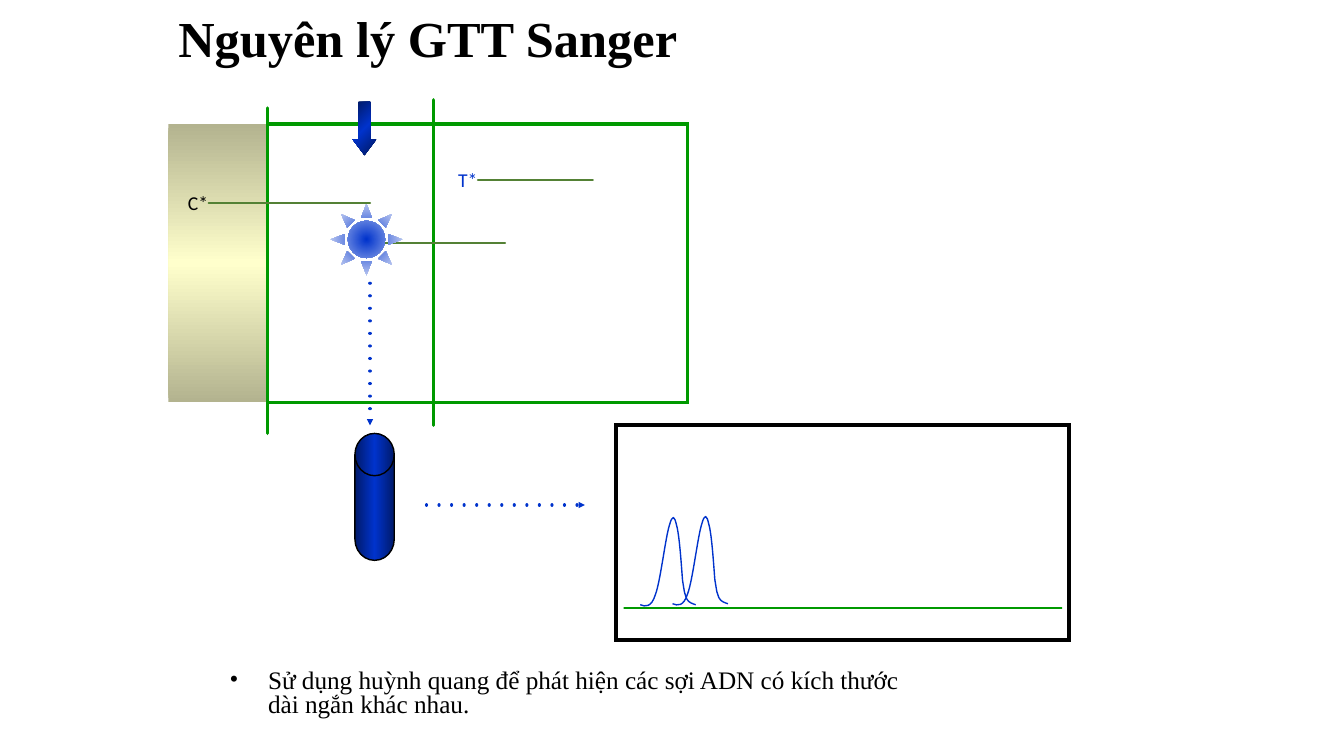
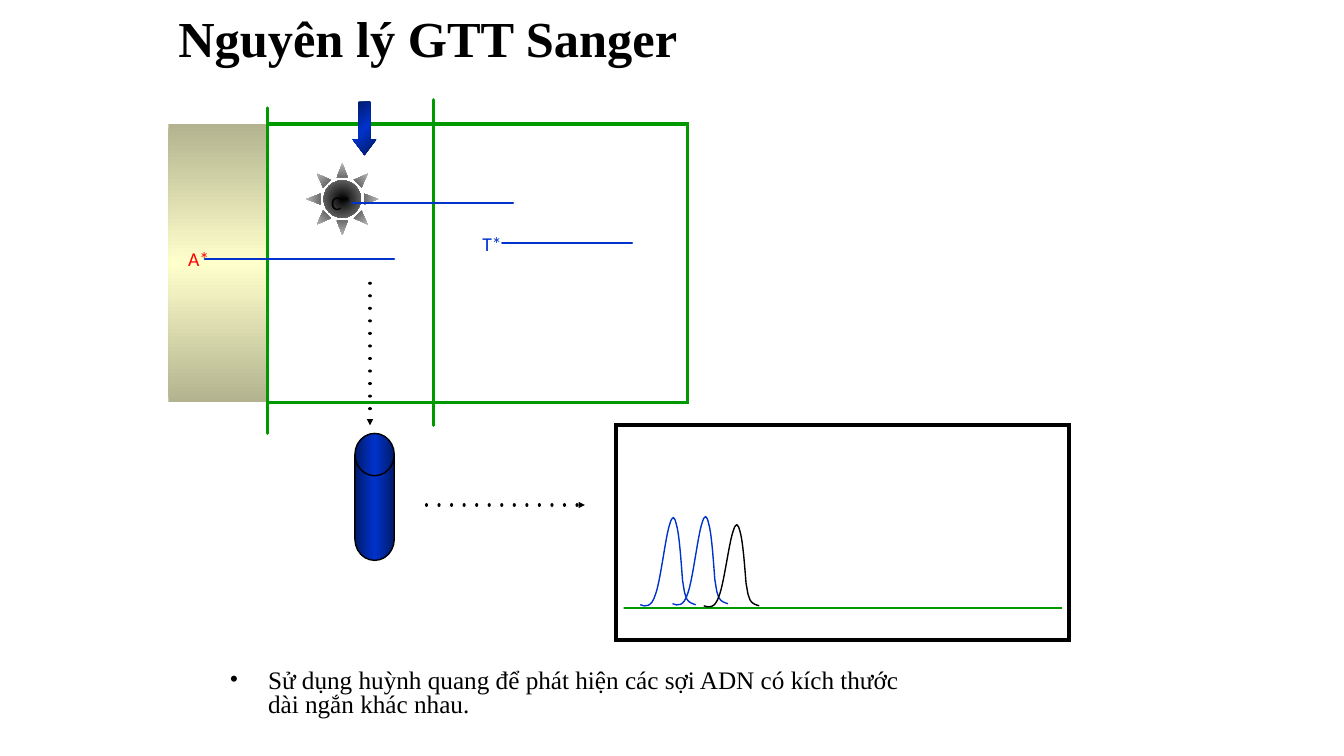
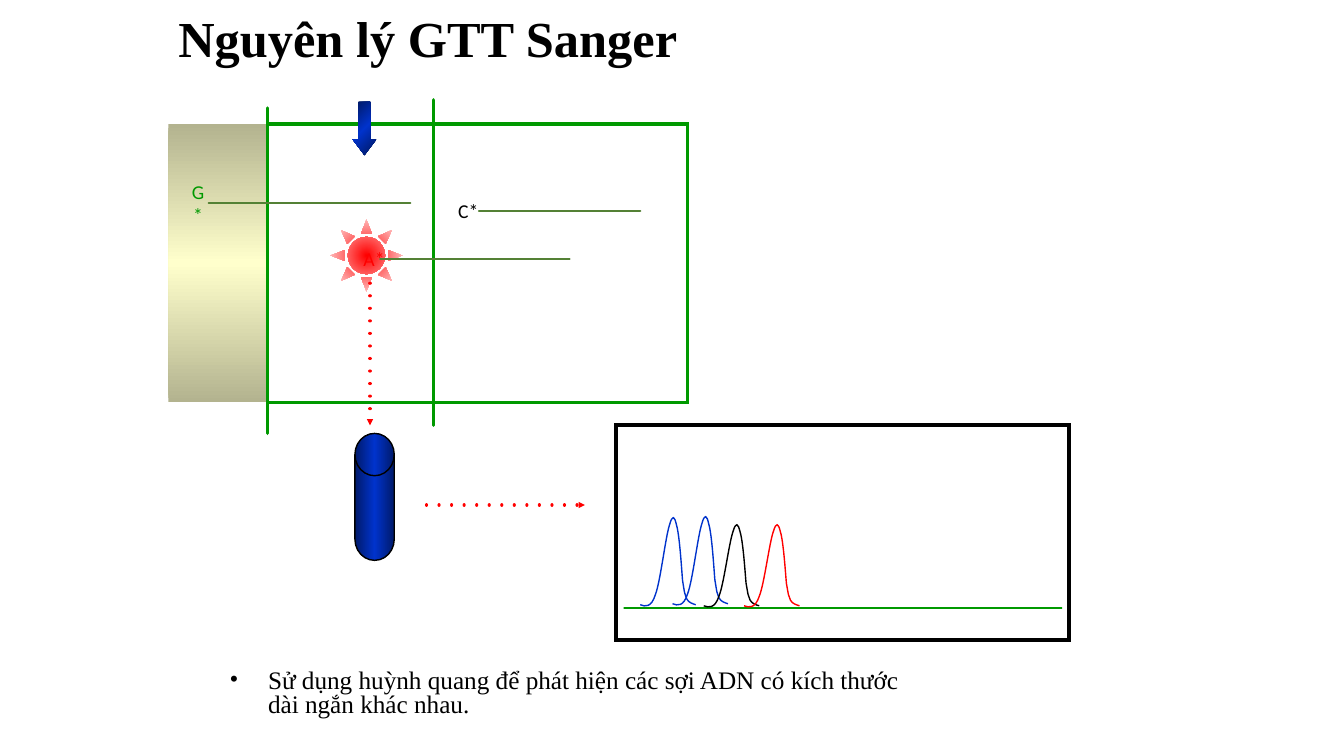
from dataclasses import dataclass

from lxml.etree import SubElement
from pptx import Presentation
from pptx.dml.color import RGBColor
from pptx.enum.shapes import MSO_CONNECTOR, MSO_SHAPE
from pptx.enum.text import MSO_ANCHOR, PP_ALIGN
from pptx.oxml import parse_xml
from pptx.oxml.ns import nsdecls, qn
from pptx.util import Inches, Pt


@dataclass(frozen=True)
class Theme:
    black: str = "000000"
    white: str = "FFFFFF"
    blue: str = "0033CC"
    red: str = "FF0000"
    green: str = "009900"
    olive: str = "548135"
    column: tuple = ("B3B38F", "FFFFCC", "B3B38F")
    detector: tuple = ("001A6B", "0033CC", "001A6B")
    laser: tuple = ("00175D", "0033CC", "00175D")
    serif: str = "Times New Roman"
    sans: str = "Calibri"
    title_size: int = 36
    body_size: int = 18
    label_size: int = 14


THEME = Theme()

TITLE = "Nguyên lý GTT Sanger"
NOTE = ("Sử dụng huỳnh quang để phát hiện các sợi ADN "
        "có kích thước dài ngắn khác nhau.")

# base: (colour, label width, strand start, strand length)
BASES = {
    "T": (THEME.blue, 0.2, 0.2, 1.29),
    "C": (THEME.black, 0.21, 0.21, 1.6),
    "A": (THEME.red, 0.22, 0.17, 1.88),
    "G": (THEME.green, 0.21, 0.21, 2.0),
}
LABEL_HEIGHT = 0.47

# Strands are (base, label left, label top[, length]).
STAGES = [
    dict(glow=THEME.blue, sun=(3.28, 2.02), strand=THEME.olive, peaks=2,
         behind=[("T", 4.54, 1.55, 1.14), ("T", 3.52, 2.18)],
         front=[("C", 1.86, 1.78)]),
    dict(glow=THEME.black, sun=(3.04, 1.62), strand=THEME.blue, peaks=3,
         behind=[("T", 4.78, 2.18)],
         front=[("C", 3.28, 1.78), ("A", 1.86, 2.33)]),
    dict(glow=THEME.red, sun=(3.28, 2.18), strand=THEME.olive, peaks=4,
         behind=[],
         front=[("C", 4.54, 1.86), ("A", 3.6, 2.33), ("G", 1.86, 1.78)]),
]

# left, baseline, height scale, colour
PEAKS = [
    (6.35, 6.0, 1, THEME.blue),
    (6.67, 5.99, 1, THEME.blue),
    (6.98, 6.01, 0.93, THEME.black),
    (7.38, 6.01, 0.93, THEME.red),
]
# Bezier points of one peak: a start, then two controls and an end per curve
PEAK_CURVE = [
    (0, 0),
    (0.05, 0.02), (0.11, 0.03), (0.15, -0.1),
    (0.2, -0.23), (0.25, -0.67), (0.29, -0.79),
    (0.32, -0.9), (0.34, -0.88), (0.36, -0.79),
    (0.39, -0.69), (0.41, -0.36), (0.42, -0.24),
    (0.44, -0.12), (0.44, -0.1), (0.46, -0.06),
    (0.48, -0.02), (0.52, -0.01), (0.55, 0),
]

GEL_TOP, GEL_HEIGHT = 1.23, 2.76
COLUMN_LEFT, GEL_LEFT, GEL_WIDTH = 1.67, 2.65, 4.17
WALLS = [(GEL_LEFT, 1.07), (4.3, 0.99)]
WALL_HEIGHT = 3.23
SIGNALS = [((3.67, 2.81), (3.67, 4.22)), ((4.23, 5.01), (5.8, 5.01))]


def rgb(colour):
    return RGBColor.from_string(colour)


def set_line(shape, colour, width):
    shape.line.color.rgb = rgb(colour)
    shape.line.width = Pt(width)
    return shape._element.spPr.find(qn("a:ln"))


def set_gradient(shape, colours, angle=None):
    """Spread colours evenly, along an angle or outwards from the centre."""
    last = len(colours) - 1
    stops = "".join(
        f'<a:gs pos="{100000 * i // last}"><a:srgbClr val="{colour}"/></a:gs>'
        for i, colour in enumerate(colours))
    if angle is None:
        middle = " ".join(f'{side}="50000"' for side in "ltrb")
        course = f'<a:path path="circle"><a:fillToRect {middle}/></a:path>'
    else:
        course = f'<a:lin ang="{angle * 60000}" scaled="0"/>'
    shape.fill.gradient()
    properties = shape._element.spPr
    properties.replace(properties.find(qn("a:gradFill")), parse_xml(
        f'<a:gradFill {nsdecls("a")} rotWithShape="1">'
        f"<a:gsLst>{stops}</a:gsLst>{course}</a:gradFill>"))


def add_preset(slide, kind, box, gradient=None, angle=None, line=None,
               adjustments=()):
    shape = slide.shapes.add_shape(kind, *map(Inches, box))
    shape.shadow.inherit = False
    for index, value in enumerate(adjustments):
        shape.adjustments[index] = value
    if gradient:
        set_gradient(shape, gradient, angle)
    else:
        shape.fill.background()
    if line:
        SubElement(set_line(shape, *line), qn("a:miter"), lim="800000")
    else:
        shape.line.fill.background()
    return shape


def add_line(shapes, start, end, colour, width, signal=False):
    """Draw a straight line; a signal is dotted and ends in an arrowhead."""
    connector = shapes.add_connector(
        MSO_CONNECTOR.STRAIGHT, *map(Inches, (*start, *end)))
    outline = set_line(connector, colour, width)
    outline.set("cap", "rnd")
    if signal:
        SubElement(outline, qn("a:prstDash"), val="dot")
        SubElement(outline, qn("a:tailEnd"), type="triangle",
                   w="sm", len="sm")
    SubElement(connector._element.spPr, qn("a:effectLst"))
    return connector


def add_text(shapes, box, text):
    text_box = shapes.add_textbox(*map(Inches, box))
    text_box.text_frame.word_wrap = True
    text_box.text_frame.paragraphs[0].text = text
    return text_box


def set_font(paragraph, name, size, colour, bold=False):
    paragraph.font.name = name
    paragraph.font.size = Pt(size)
    paragraph.font.bold = bold
    paragraph.font.color.rgb = rgb(colour)


def add_title(slide):
    title = add_text(slide.shapes, (COLUMN_LEFT, 0.09, 8.62, 0.92), TITLE)
    paragraph = title.text_frame.paragraphs[0]
    paragraph.line_spacing = 0.9
    set_font(paragraph, THEME.serif, THEME.title_size, THEME.black, bold=True)


def add_note(slide):
    note = add_text(slide.shapes, (2.18, 6.6, 6.92, 0.67), NOTE)
    paragraph = note.text_frame.paragraphs[0]
    paragraph.line_spacing = 0.8
    properties = paragraph._p.get_or_add_pPr()
    properties.set("marL", str(Inches(0.38)))
    properties.set("indent", str(-Inches(0.38)))
    bullet_colour = SubElement(properties, qn("a:buClr"))
    SubElement(bullet_colour, qn("a:srgbClr"), val=THEME.black)
    SubElement(properties, qn("a:buFont"), typeface=THEME.serif)
    SubElement(properties, qn("a:buChar"), char="•")
    set_font(paragraph, THEME.serif, THEME.body_size, THEME.black)


def add_strand(slide, strand_colour, base, left, top, length=None):
    """Group a dye label with the DNA strand it marks."""
    colour, width, offset, usual_length = BASES[base]
    group = slide.shapes.add_group_shape()
    label = add_text(group.shapes, (left, top, width, LABEL_HEIGHT),
                     f"{base}*")
    frame = label.text_frame
    frame.margin_left = frame.margin_right = 0
    frame.vertical_anchor = MSO_ANCHOR.MIDDLE
    frame.paragraphs[0].alignment = PP_ALIGN.CENTER
    set_font(frame.paragraphs[0], THEME.sans, THEME.label_size, colour)
    start, middle = left + offset, round(top + LABEL_HEIGHT / 2 + 0.001, 2)
    strand = add_line(group.shapes, (start + (length or usual_length), middle),
                      (start, middle), strand_colour, 1.5)
    if offset == width:
        strand.begin_y = label.top + label.height // 2
        strand.end_connect(label, 3)


def add_peak(slide, left, baseline, scale, colour):
    points = [(Inches(left + x), Inches(baseline + y * scale))
              for x, y in PEAK_CURVE]
    builder = slide.shapes.build_freeform(*points[0])
    builder.add_line_segments(points[1:], close=False)
    peak = builder.convert_to_shape()
    segments = list(peak._element.iter(qn("a:lnTo")))
    for i in range(0, len(segments), 3):
        first, *others = segments[i:i + 3]
        first.tag = qn("a:cubicBezTo")
        for segment in others:
            first.append(segment[0])
            segment.getparent().remove(segment)
    peak.shadow.inherit = False
    peak.fill.background()
    set_line(peak, colour, 1)


def add_apparatus(slide):
    add_preset(slide, MSO_SHAPE.RECTANGLE,
               (COLUMN_LEFT, GEL_TOP, GEL_LEFT - COLUMN_LEFT, GEL_HEIGHT),
               THEME.column, 90)
    for x, top in WALLS:
        add_line(slide.shapes, (x, top), (x, top + WALL_HEIGHT),
                 THEME.green, 2.25)
    add_preset(slide, MSO_SHAPE.RECTANGLE,
               (GEL_LEFT, GEL_TOP, GEL_WIDTH, GEL_HEIGHT),
               line=(THEME.green, 2.25))
    add_preset(slide, MSO_SHAPE.FLOWCHART_MAGNETIC_DISK,
               (3.52, 4.3, 0.39, 1.26), THEME.detector, 0, (THEME.black, 1))
    add_preset(slide, MSO_SHAPE.RECTANGLE, (6.11, 4.22, 4.49, 2.13),
               line=(THEME.black, 3))
    add_line(slide.shapes, (6.19, 6.03), (10.53, 6.03), THEME.green, 1)


def add_stage(presentation, stage):
    slide = presentation.slides.add_slide(presentation.slide_layouts[6])
    add_apparatus(slide)
    for strand in stage["behind"]:
        add_strand(slide, stage["strand"], *strand)
    add_preset(slide, MSO_SHAPE.SUN, (*stage["sun"], 0.71, 0.71),
               (stage["glow"], THEME.white), adjustments=(0.239,))
    for start, end in SIGNALS:
        add_line(slide.shapes, start, end, stage["glow"], 2.25, signal=True)
    for peak in PEAKS[:stage["peaks"]]:
        add_peak(slide, *peak)
    for strand in stage["front"]:
        add_strand(slide, stage["strand"], *strand)
    add_preset(slide, MSO_SHAPE.DOWN_ARROW, (3.5, 1.01, 0.23, 0.53),
               THEME.laser, 45, adjustments=(0.5, 0.667))
    add_note(slide)
    add_title(slide)


def main():
    presentation = Presentation()
    presentation.slide_width = Inches(13.33)
    presentation.slide_height = Inches(7.5)
    for stage in STAGES:
        add_stage(presentation, stage)
    presentation.save("out.pptx")


if __name__ == "__main__":
    main()
